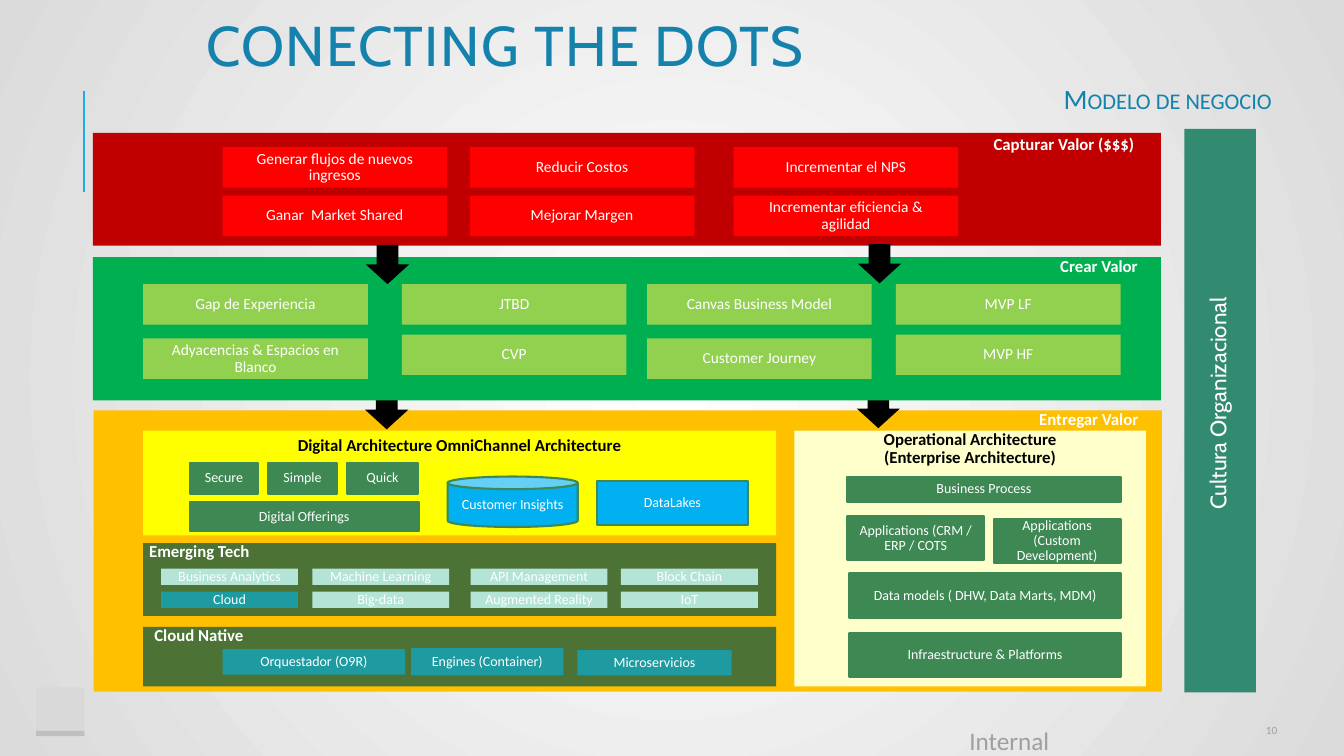
from dataclasses import dataclass, field
from itertools import product

from pptx import Presentation
from pptx.dml.color import RGBColor
from pptx.enum import shapes, text
from pptx.oxml import parse_xml
from pptx.oxml.ns import nsdecls, qn
from pptx.util import Cm, Pt

COLOURS = {
    "white": "FFFFFF", "black": "000000", "grey": "9F9F9F", "edge": "DBDBDB",
    "tile": "D9D9D9", "bar": "BFBFBF", "accent": "1CADE4", "title": "1482AC",
    "crimson": "C00000", "red": "FF0000", "green": "00B050", "lime": "92D050",
    "gold": "FFC000", "yellow": "FFFF00", "cream": "FFFFCC", "forest": "2F663E",
    "leaf": "3E8853", "teal": "1D9BA1", "mint": "B3E4D6", "sky": "00B0F0",
    "culture": "328B71",
}
LEFT, CENTRE, RIGHT = text.PP_ALIGN.LEFT, text.PP_ALIGN.CENTER, text.PP_ALIGN.RIGHT
TOP, MIDDLE = text.MSO_ANCHOR.TOP, text.MSO_ANCHOR.MIDDLE
RECTANGLE = shapes.MSO_SHAPE.RECTANGLE
NO_INSET = (0, 0, 0, 0)
BOX_INSET = (0.25, 0.13, 0.25, 0.13)


@dataclass
class Style:
    size: float = 10
    colour: str = "white"
    bold: bool = False
    font: str = "Calibri"
    align: text.PP_ALIGN = CENTRE
    anchor: text.MSO_ANCHOR = MIDDLE
    inset: tuple = BOX_INSET  # left, top, right, bottom
    wrap: bool = True
    spacing: float = 0.9
    extra: dict = field(default_factory=dict)  # run attributes


@dataclass
class Block:
    x: float
    y: float
    width: float
    height: float
    fill: str = ""
    words: str = ""
    style: Style = field(default_factory=Style)
    outline: str = ""
    kind: shapes.MSO_SHAPE = RECTANGLE
    rotation: float = 0
    opacity: int = 100


def colour(name: str) -> RGBColor:
    return RGBColor.from_string(COLOURS[name])


def write(box, words: str, style: Style) -> None:
    frame = box.text_frame
    sides = ("margin_left", "margin_top", "margin_right", "margin_bottom")
    settings = dict(zip(sides, map(Cm, style.inset)))
    settings |= {"word_wrap": style.wrap, "vertical_anchor": style.anchor}
    for name, value in settings.items():
        setattr(frame, name, value)
    for number, line in enumerate(words.split("\n")):
        para = frame.add_paragraph() if number else frame.paragraphs[0]
        para.alignment, para.line_spacing = style.align, style.spacing
        span = para.add_run()
        span.text = line
        form = {"name": style.font, "size": Pt(style.size), "bold": style.bold}
        for name, value in form.items():
            setattr(span.font, name, value)
        span.font.color.rgb = colour(style.colour)
        for name, value in style.extra.items():
            span.font._element.set(name, value)


def draw(page, block: Block) -> None:
    """Add a filled shape, or a text box when the block has no fill."""
    place = [Cm(n) for n in (block.x, block.y, block.width, block.height)]
    if block.fill:
        box = page.shapes.add_shape(block.kind, *place)
        box.shadow.inherit = False
        box.fill.solid()
        box.fill.fore_color.rgb = colour(block.fill)
        if block.opacity < 100:
            tint = box.fill._xPr.find(qn("a:solidFill"))[0]
            tint.append(parse_xml(f'<a:alpha {nsdecls("a")} val="{block.opacity * 1000}"/>'))
        if block.outline:
            box.line.color.rgb = colour(block.outline)
            box.line.width = Pt(1.5)
        else:
            box.line.fill.background()
    else:
        box = page.shapes.add_textbox(*place)
    box.rotation = block.rotation
    if block.words:
        write(box, block.words, block.style)


def paint_background(page) -> None:
    """Radial gradient from the centre of the page."""
    fill = page.background.fill
    fill.gradient()
    for stop, name, position in zip(fill.gradient_stops, ("white", "edge"), (0, 1)):
        stop.color.rgb = colour(name)
        stop.position = position
    gradient = fill._xPr.find(qn("a:gradFill"))
    gradient.remove(gradient.find(qn("a:lin")))
    gradient.insert(1, parse_xml(
        f'<a:path {nsdecls("a")} path="circle">'
        '<a:fillToRect l="50000" t="50000" r="50000" b="50000"/></a:path>'))


def draw_accent(page) -> None:
    line = page.shapes.add_connector(
        shapes.MSO_CONNECTOR.STRAIGHT, Cm(2.11), Cm(4.83), Cm(2.11), Cm(2.29))
    line.line.color.rgb = colour("accent")
    line.line.width = Pt(1.5)
    line._element.spPr.append(parse_xml(f'<a:effectLst {nsdecls("a")}/>'))


CHIP = Style(11)
HEADING = Style(12, bold=True, align=LEFT, anchor=TOP, inset=NO_INSET, wrap=False)


def label(x: float, y: float, width: float, words: str) -> Block:
    return Block(x, y, width, 0.53, words=words, style=HEADING)


def chip(x: float, y: float, fill: str, words: str) -> Block:
    return Block(x, y, 5.66, 1.02, fill, words, CHIP)


def leaf(x: float, y: float, width: float, height: float, words: str) -> Block:
    return Block(x, y, width, height, "leaf", words, outline="leaf")


def arrow(x: float, y: float) -> Block:
    return Block(x, y, 0.99, 1.09, "black", kind=shapes.MSO_SHAPE.RIGHT_ARROW, rotation=90)


def panel_title(top: float) -> Style:
    return Style(12, "black", True, anchor=TOP, inset=(0.25, top, 0.25, 0))


GOALS = ("Generar flujos de nuevos ingresos", "Reducir Costos", "Incrementar el NPS",
         "Ganar  Market Shared", "Mejorar Margen", "Incrementar eficiencia & agilidad")
TECHNOLOGIES = ("Business Analytics", "Machine Learning", "API Management", "Block Chain",
                "Cloud", "Big-data", "Augmented Reality", "IoT")
# x, second-row y, first-row words, second-row words
CREATION = ((3.61, 8.53, "Gap de Experiencia", "Adyacencias & Espacios en Blanco"),
            (10.13, 8.43, "JTBD", "CVP"),
            (16.31, 8.53, "Canvas Business Model", "Customer Journey"),
            (22.58, 8.43, "MVP LF", "MVP HF"))

frame_tiles = [Block(0.91, 17.32, 1.22, 1.22, "tile"), Block(0.91, 18.42, 1.22, 0.13, "bar")]
deliver = [Block(2.36, 10.34, 26.92, 7.09, "gold"), label(26.19, 10.36, 2.6, "Entregar Valor"),
           arrow(9.25, 9.78), arrow(21.64, 9.75)]
capture = [Block(2.34, 3.35, 26.92, 2.84, "crimson"),
           *(chip(x, y, "red", words) for (y, x), words
             in zip(product((3.71, 4.93), (5.61, 11.84, 18.49)), GOALS)),
           label(25.04, 3.43, 3.7, "Capturar Valor ($$$)")]
operational = [
    Block(20.02, 10.85, 8.86, 6.45, "cream",
          "Operational Architecture\n(Enterprise Architecture)", panel_title(0)),
    leaf(21.34, 12.01, 6.91, 0.64, "Business Process"),
    leaf(21.36, 13, 3.43, 1.12, "Applications (CRM / ERP / COTS"),
    leaf(25.04, 13.08, 3.2, 1.12, "Applications (Custom Development)"),
    leaf(21.41, 14.45, 6.83, 1.12, "Data models ( DHW, Data Marts, MDM)"),
    leaf(21.41, 15.95, 6.83, 1.12, "Infraestructure & Platforms")]
digital = [
    Block(3.61, 10.85, 15.95, 2.64, "yellow",
          "Digital Architecture OmniChannel Architecture", panel_title(0.17)),
    Block(11.28, 12.01, 3.28, 1.27, "sky", "Customer Insights", outline="leaf",
          kind=shapes.MSO_SHAPE.CAN),
    leaf(4.78, 12.65, 5.77, 0.74, "Digital Offerings"),
    leaf(4.78, 11.66, 1.73, 0.79, "Secure"),
    leaf(6.76, 11.66, 1.73, 0.79, "Simple"),
    leaf(8.74, 11.66, 1.8, 0.79, "Quick"),
    Block(15.04, 12.12, 3.81, 1.12, "sky", "DataLakes", outline="leaf")]
emerging = [
    Block(3.61, 13.69, 15.95, 1.83, "forest", opacity=86),
    label(3.76, 13.69, 2.6, "Emerging Tech"),
    *(Block(x, y, 3.45, 0.41, "teal" if words == "Cloud" else "mint", words)
      for (y, x), words in zip(product((14.33, 14.91), (4.06, 7.87, 11.86, 15.65)),
                               TECHNOLOGIES))]
cloud_native = [
    Block(3.61, 15.8, 15.95, 1.5, "forest", opacity=86),
    label(3.89, 15.8, 2.54, "Cloud Native"),
    Block(5.61, 16.36, 4.6, 0.64, "teal", "Orquestador (O9R)"),
    Block(10.36, 16.33, 3.84, 0.69, "teal", "Engines (Container)"),
    Block(14.55, 16.38, 3.89, 0.64, "teal", "Microservicios")]
create = [Block(2.34, 6.48, 26.92, 3.61, "green"),
          *(chip(x, y, "lime", words) for x, lower, first, second in CREATION
            for y, words in ((7.16, first), (lower, second))),
          label(26.72, 6.5, 2.54, "Crear Valor"), arrow(9.27, 6.12), arrow(21.67, 6.1)]
culture = [Block(29.85, 3.25, 1.8, 14.2, "culture"),
           Block(27.89, 9.78, 5.59, 0.53, words="Cultura Organizacional", rotation=270,
                 style=Style(16, font="Cabin", align=LEFT, anchor=TOP, inset=NO_INSET,
                             wrap=False))]
headings = [
    Block(4.95, 2.13, 27.23, 0.79, words="Modelo de negocio",
          style=Style(20, "title", align=RIGHT, inset=(0.13,) * 4, extra={"cap": "small"})),
    Block(4.95, 0.41, 27.23, 1.73, words="CONECTING THE DOTS",
          style=Style(40, "title", font="Cabin", align=LEFT, spacing=0.8,
                      extra={"spc": "100"}))]
footer = [Block(24.18, 18.14, 6.93, 0.51, words="Internal",
                style=Style(18, "grey", align=LEFT, anchor=TOP, spacing=1)),
          Block(31.12, 18.14, 1.07, 0.51, words="10",
                style=Style(8, "grey", align=RIGHT, inset=NO_INSET, wrap=False, spacing=1))]


def main() -> None:
    deck = Presentation()
    deck.slide_width, deck.slide_height = Cm(33.87), Cm(19.05)
    page = deck.slides.add_slide(deck.slide_layouts[6])
    paint_background(page)
    draw_accent(page)
    for section in (frame_tiles, deliver, footer, capture, operational, digital,
                    emerging, cloud_native, create, culture, headings):
        for block in section:
            draw(page, block)
    deck.save("out.pptx")


if __name__ == "__main__":
    main()
